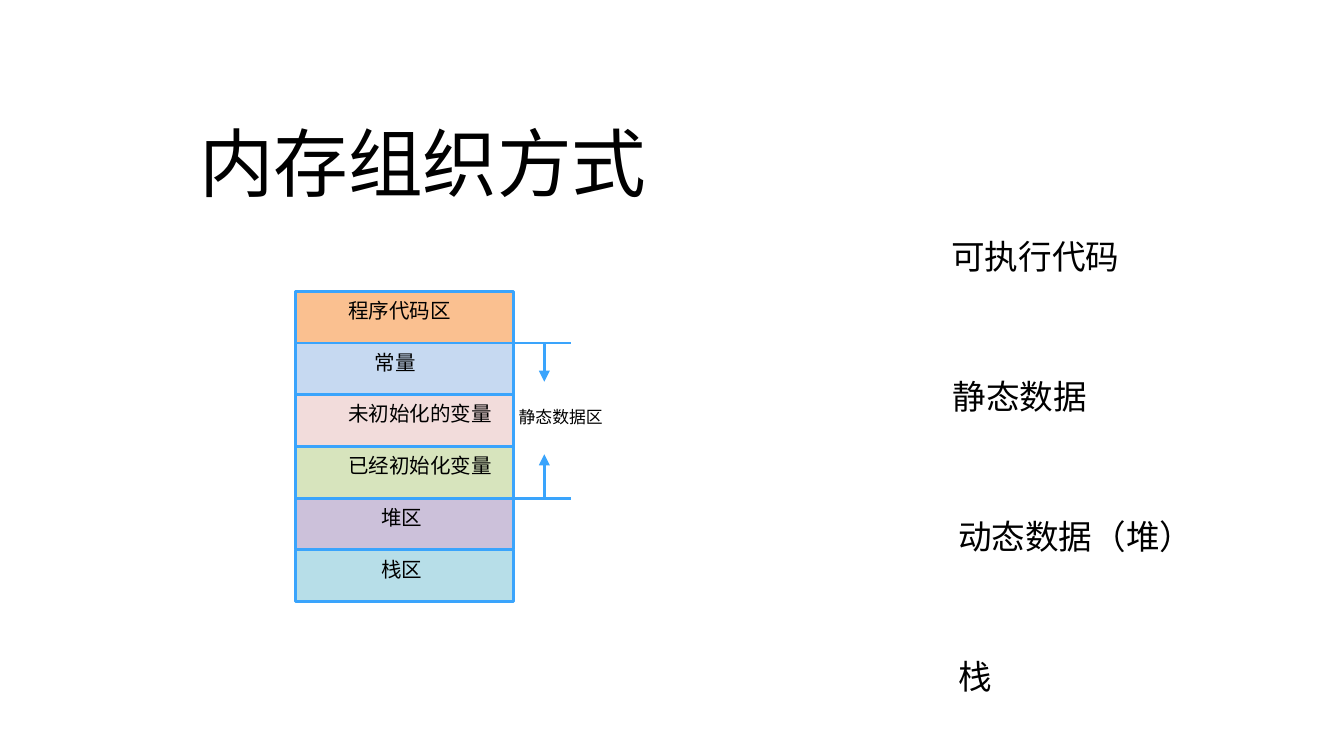
from dataclasses import dataclass

from lxml import etree
from pptx import Presentation
from pptx.dml.color import RGBColor
from pptx.enum.shapes import MSO_CONNECTOR, MSO_SHAPE
from pptx.enum.text import MSO_ANCHOR, MSO_AUTO_SIZE, PP_ALIGN
from pptx.oxml.ns import qn
from pptx.util import Pt

RECTANGLE = MSO_SHAPE.RECTANGLE
STRAIGHT = MSO_CONNECTOR.STRAIGHT
LEFT, TOP, MIDDLE = PP_ALIGN.LEFT, MSO_ANCHOR.TOP, MSO_ANCHOR.MIDDLE
FIT_SHAPE = MSO_AUTO_SIZE.SHAPE_TO_FIT_TEXT

COLORS = {
    "text": "000000",
    "border": "3AA4FC",
    "code": "FAC090",
    "constant": "C6D9F1",
    "uninitialized": "F2DCDB",
    "initialized": "D7E4BD",
    "heap": "CCC1DA",
    "stack": "B7DEE8",
}
LINE_WIDTH = 1.5
INDENT = 21
STACK_LEFT, STACK_TOP, STACK_WIDTH, ROW_HEIGHT = 158.4, 156.1, 116.6, 27.7
STACK_RIGHT = STACK_LEFT + STACK_WIDTH


@dataclass
class Region:
    text: str
    color: str
    indent: float = INDENT


@dataclass
class Label:
    text: str
    left: float
    width: float


@dataclass
class Line:
    start: tuple[float, float]
    end: tuple[float, float]
    arrow: bool = False


REGIONS = [
    Region("程序代码区", "code"),
    Region("常量", "constant", 35.2),
    Region("未初始化的变量", "uninitialized"),
    Region("已经初始化变量", "initialized"),
    Region("堆区", "heap", 38.8),
    Region("栈区", "stack", 38.8),
]
LABELS = [
    Label("可执行代码", 502.6, 105),
    Label("静态数据", 503.2, 87),
    Label("动态数据（堆）", 506.2, 142),
    Label("栈", 506.2, 32.4),
]
LABEL_TOP, LABEL_PITCH, LABEL_HEIGHT = 122.6, 75.1, 29

STATIC_TOP = STACK_TOP + ROW_HEIGHT
STATIC_BOTTOM = STACK_TOP + 4 * ROW_HEIGHT
TICK_END, ARROW_X = 306, 291.6
LINES = [
    Line((STACK_RIGHT, STATIC_TOP), (TICK_END, STATIC_TOP)),
    Line((STACK_RIGHT, STATIC_BOTTOM), (TICK_END, STATIC_BOTTOM)),
    Line((ARROW_X, STATIC_TOP), (ARROW_X, 204.5), arrow=True),
    Line((ARROW_X, STATIC_BOTTOM), (ARROW_X, 243.4), arrow=True),
]


def color(name: str) -> RGBColor:
    return RGBColor.from_string(COLORS[name])


def write(shape, text: str, font: str, size: float, indent: float = 0) -> None:
    """Put one left-aligned paragraph in the shape, with a first-line indent."""
    para = shape.text_frame.paragraphs[0]
    para.text = text
    para.alignment = LEFT
    if indent:
        para._p.get_or_add_pPr().set("indent", str(Pt(indent)))
    para.font.name = font
    para.font.size = Pt(size)
    para.font.color.rgb = color("text")


def draw_region(slide, region: Region, row: int) -> None:
    box = slide.shapes.add_shape(
        RECTANGLE, Pt(STACK_LEFT), Pt(STACK_TOP + row * ROW_HEIGHT), Pt(STACK_WIDTH), Pt(ROW_HEIGHT)
    )
    box.shadow.inherit = False
    box.fill.solid()
    box.fill.fore_color.rgb = color(region.color)
    box.line.color.rgb = color("border")
    box.line.width = Pt(LINE_WIDTH)
    box.text_frame.vertical_anchor = TOP
    write(box, region.text, "Times New Roman", 11, region.indent)


def draw_label(slide, label: Label, row: int) -> None:
    box = slide.shapes.add_textbox(
        Pt(label.left), Pt(LABEL_TOP + row * LABEL_PITCH), Pt(label.width), Pt(LABEL_HEIGHT)
    )
    box.text_frame.word_wrap = False
    box.text_frame.auto_size = FIT_SHAPE
    write(box, label.text, "Arial", 18)


def draw_line(slide, line: Line) -> None:
    connector = slide.shapes.add_connector(STRAIGHT, *map(Pt, line.start + line.end))
    connector.line.color.rgb = color("border")
    connector.line.width = Pt(LINE_WIDTH)
    if line.arrow:
        outline = connector.line._get_or_add_ln()
        etree.SubElement(outline, qn("a:tailEnd"), type="triangle")
    etree.SubElement(connector._element.spPr, qn("a:effectLst"))


def main() -> None:
    deck = Presentation()
    deck.slide_width, deck.slide_height = Pt(720), Pt(405)
    slide = deck.slides.add_slide(deck.slide_layouts[5])

    title = slide.shapes.title
    title.left, title.top, title.width, title.height = map(Pt, (99.4, 52.6, 534.2, 67.7))
    title.text_frame.vertical_anchor = MIDDLE
    write(title, "内存组织方式", "Calibri", 40)

    for row, label in enumerate(LABELS):
        draw_label(slide, label, row)
    for row, region in enumerate(REGIONS):
        draw_region(slide, region, row)
    for line in LINES:
        draw_line(slide, line)

    static_label = slide.shapes.add_textbox(*map(Pt, (249.8, 214.6, 86.4, 23.8)))
    static_label.text_frame.word_wrap = True
    write(static_label, "静态数据区", "Times New Roman", 9, INDENT)

    deck.save("out.pptx")


if __name__ == "__main__":
    main()
